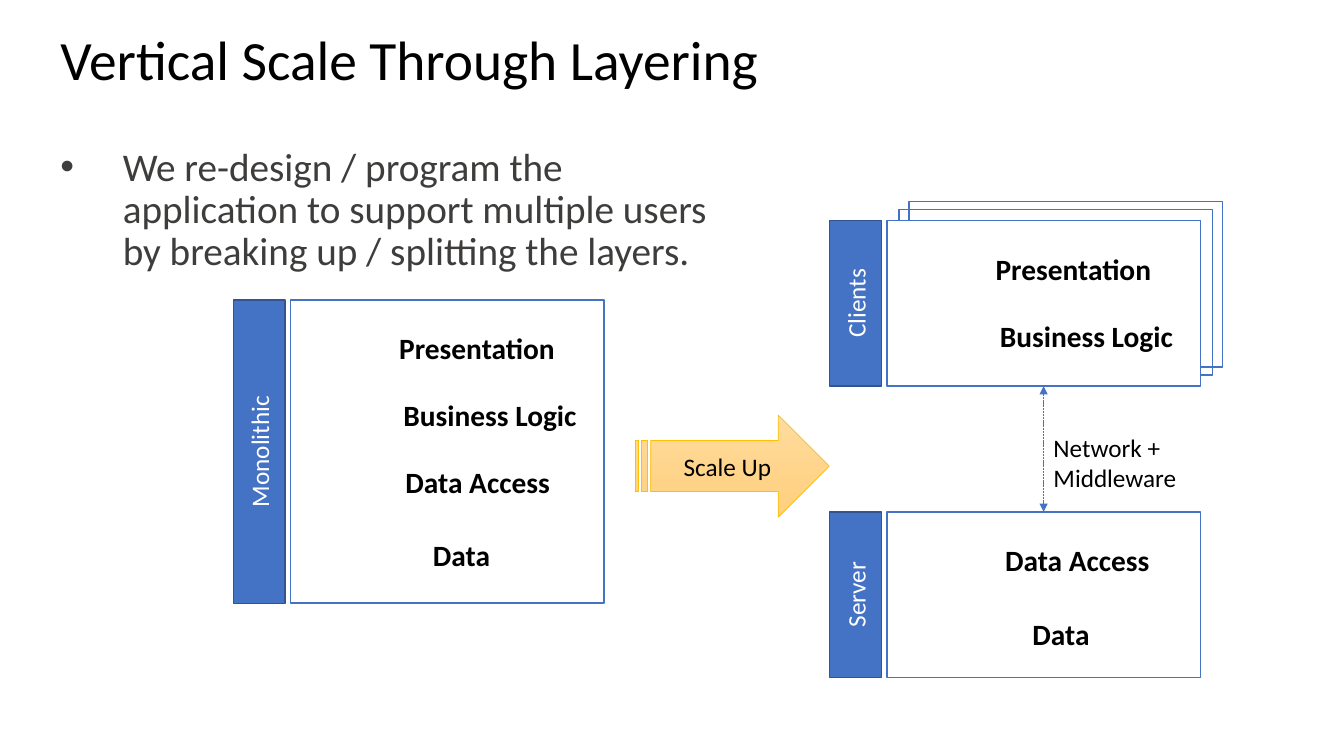
from copy import deepcopy

from lxml.etree import SubElement
from pptx import Presentation
from pptx.dml.color import RGBColor
from pptx.enum.dml import MSO_LINE
from pptx.enum.shapes import MSO_CONNECTOR, MSO_SHAPE
from pptx.enum.text import MSO_ANCHOR, MSO_AUTO_SIZE, PP_ALIGN
from pptx.oxml.ns import qn
from pptx.util import Cm, Pt

COLORS = {
    "black": "000000", "white": "FFFFFF", "body": "3E3D3C",
    "blue": "4472C4", "navy": "325491", "gold": "FFC000",
    "light": "FFDB9E", "deep": "FFD07C",
}
FONTS = {
    "title": {"size": Pt(39.6), "name": "Calibri", "bold": False},
    "body": {"size": Pt(28), "name": "Calibri", "bold": False},
    "layer": {"size": Pt(21), "name": "Calibri", "bold": True},
    "note": {"size": Pt(18), "name": "Calibri", "bold": False},
}
LEFT = {"alignment": PP_ALIGN.LEFT}
MID = {"alignment": PP_ALIGN.CENTER}
TIGHT = {"line_spacing": 0.9, "space_before": Pt(0)}
FLUSH = dict.fromkeys(
    ("margin_left", "margin_top", "margin_right", "margin_bottom"), 0)

# Name: centre from the frame's left, top from the layer above, width (cm)
LAYERS = {
    "Presentation": (4.7, 0, 5),
    "Business Logic": (5.03, 1.68, 5),
    "Data Access": (4.72, 1.68, 5),
    "Data": (4.31, 1.85, 4.75),
}


def color(key):
    return RGBColor.from_string(COLORS[key])


def apply(item, values):
    for key, value in values.items():
        setattr(item, key, value)


def write(frame, text, style, ink, para):
    """Fill a text frame; a vertical tab in the text is a line break."""
    frame.text = text
    line = frame.paragraphs[0]
    apply(line, para)
    for run in line.runs:
        apply(run.font, FONTS[style])
        run.font.color.rgb = color(ink)
    for stop in line._p.findall(qn("a:br")):
        stop.insert(0, deepcopy(line.runs[0]._r.rPr))


def place(item, box):
    apply(item, dict(zip(("left", "top", "width", "height"), map(Cm, box))))


def draw(slide, kind, box, edge, width, fill=None):
    shape = slide.shapes.add_shape(kind, *map(Cm, box))
    shape.shadow.inherit = False
    shape.line.color.rgb = color(edge)
    shape.line.width = Pt(width)
    if fill:
        shape.fill.solid()
        shape.fill.fore_color.rgb = color(fill)
    else:
        shape.fill.background()
    return shape


def add_title(slide, box):
    title = slide.shapes.title
    place(title, box)
    apply(title.text_frame, {"vertical_anchor": MSO_ANCHOR.MIDDLE,
                             "auto_size": MSO_AUTO_SIZE.NONE})
    write(title.text_frame, "Vertical Scale Through Layering",
          "title", "black", LEFT | TIGHT)


def add_body(slide, box):
    body = slide.placeholders[1]
    place(body, box)
    frame = body.text_frame
    frame.auto_size = MSO_AUTO_SIZE.NONE
    text = ("We re-design / program the \v"
            "application to support multiple users\v"
            "by breaking up / splitting the layers.")
    write(frame, text, "body", "body", LEFT | TIGHT)
    props = frame.paragraphs[0]._p.get_or_add_pPr()
    props.set("marL", str(Cm(1.57)))
    props.set("indent", str(-Cm(1.57)))
    SubElement(props, qn("a:buFont")).set("typeface", "Arial")
    SubElement(props, qn("a:buChar")).set("char", "•")


def add_bar(slide, box, name):
    """Draw a name bar that fills the box and reads upwards."""
    left, top, width, height = box
    flat = (left + (width - height) / 2, top + (height - width) / 2,
            height, width)
    bar = draw(slide, MSO_SHAPE.RECTANGLE, flat, "navy", 1, "blue")
    bar.rotation = 270
    bar.text_frame.vertical_anchor = MSO_ANCHOR.MIDDLE
    write(bar.text_frame, name, "note", "white", MID)


def add_tier(slide, box, name, layers, fill=None, nudge=0):
    """Draw a frame with its layers and, to its left, its name bar."""
    left, top, _, height = box
    frame = draw(slide, MSO_SHAPE.RECTANGLE, box, "blue", 1, fill)
    down = top + 0.87
    for index, layer in enumerate(layers):
        center, step, width = LAYERS[layer]
        down += step if index else 0
        label = slide.shapes.add_textbox(
            *map(Cm, (left + center + nudge - width / 2, down, width, 0.76)))
        label.text_frame.word_wrap = True
        apply(label.text_frame, FLUSH)
        write(label.text_frame, layer, "layer", "black", MID | TIGHT)
    add_bar(slide, (left - 1.44, top, 1.3, height), name)
    return frame


def add_stack(slide, box):
    """Outline the further clients behind the box."""
    left, top, width, height = box
    for right, up in ((0.56, 0.48), (0.31, 0.28)):
        draw(slide, MSO_SHAPE.RECTANGLE,
             (left + right, top - up, width, height), "blue", 1)


def add_link(slide, client, server, box):
    link = slide.shapes.add_connector(MSO_CONNECTOR.STRAIGHT, 0, 0, 0, 0)
    link.begin_connect(client, 2)
    link.end_connect(server, 0)
    link.line.color.rgb = color("blue")
    link.line.width = Pt(0.5)
    link.line.dash_style = MSO_LINE.SQUARE_DOT
    stroke = link.line._get_or_add_ln()
    for end in ("a:headEnd", "a:tailEnd"):
        SubElement(stroke, qn(end)).set("type", "triangle")
    SubElement(link._element.spPr, qn("a:effectLst"))
    note = slide.shapes.add_textbox(*map(Cm, box))
    apply(note.text_frame, {"word_wrap": False,
                            "auto_size": MSO_AUTO_SIZE.SHAPE_TO_FIT_TEXT})
    write(note.text_frame, "Network + \vMiddleware", "note", "black", LEFT)


def add_arrow(slide, box):
    arrow = draw(slide, MSO_SHAPE.STRIPED_RIGHT_ARROW, box, "gold", 0.5)
    arrow.fill.gradient()
    arrow.fill.gradient_angle = 270
    for stop, key, spot in zip(arrow.fill.gradient_stops,
                               ("light", "deep"), (0, 1)):
        stop.color.rgb = color(key)
        stop.position = spot
    arrow.text_frame.vertical_anchor = MSO_ANCHOR.MIDDLE
    write(arrow.text_frame, "Scale Up", "note", "black", MID)


def main():
    deck = Presentation()
    deck.slide_width, deck.slide_height = Cm(33.87), Cm(19.05)
    slide = deck.slides.add_slide(deck.slide_layouts[1])
    names = list(LAYERS)
    near = (22.35, 5.56, 7.9, 4.17)
    far = (22.35, 12.9, 7.9, 4.17)
    add_stack(slide, near)
    add_title(slide, (1.27, 0.71, 31.32, 1.75))
    add_body(slide, (1.27, 3.58, 29, 12.78))
    add_tier(slide, (7.32, 7.56, 7.9, 7.64), "Monolithic", names)
    client = add_tier(slide, near, "Clients", names[:2], "white")
    server = add_tier(slide, far, "Server", names[2:], nudge=0.08)
    add_link(slide, client, server, (26.3, 10.77, 3.63, 1.8))
    add_arrow(slide, (16, 10.46, 4.9, 2.57))
    deck.save("out.pptx")


if __name__ == "__main__":
    main()
